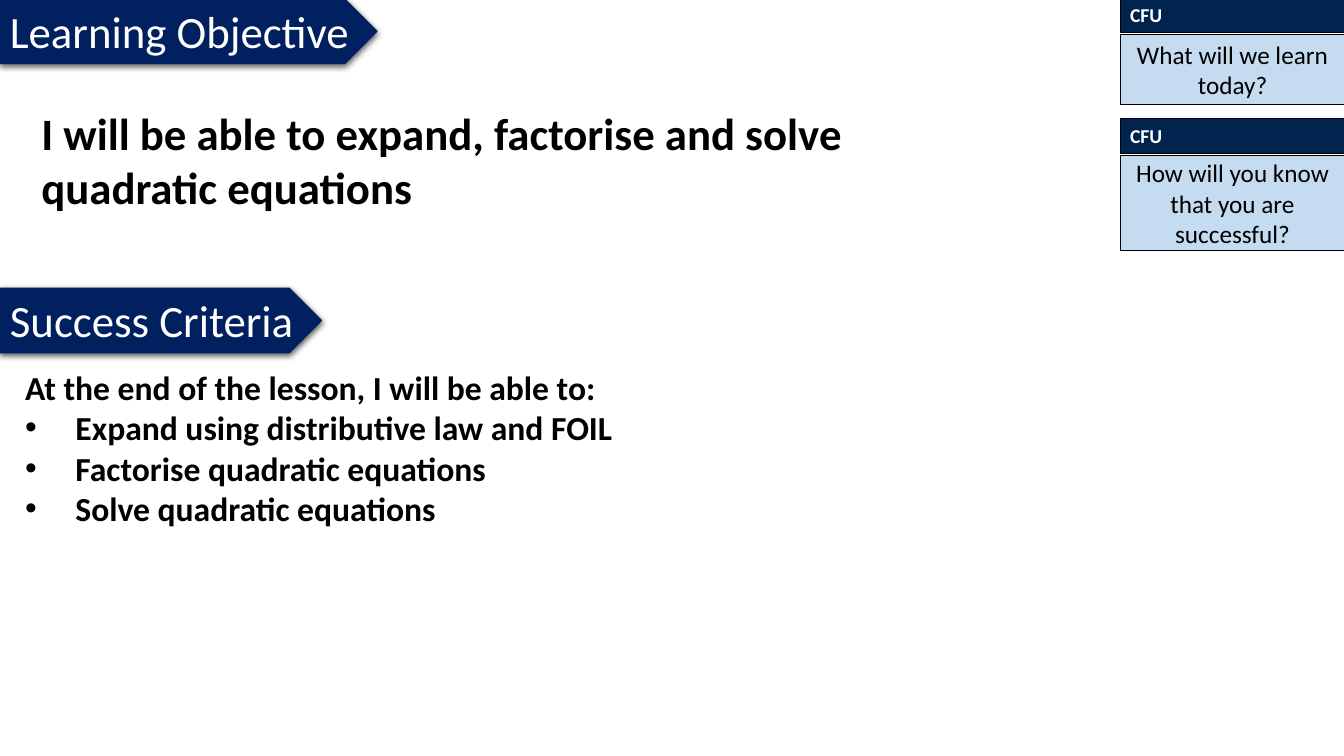
from dataclasses import dataclass

import pptx
import pptx.dml.color
import pptx.enum.shapes
import pptx.enum.text
import pptx.oxml
import pptx.oxml.ns
import pptx.util
from pptx.util import Inches

ANCHOR = pptx.enum.text.MSO_ANCHOR
ALIGN = pptx.enum.text.PP_ALIGN
AUTO_SIZE = pptx.enum.text.MSO_AUTO_SIZE
SHAPE = pptx.enum.shapes.MSO_SHAPE
NAMESPACE = pptx.oxml.ns.nsdecls("a")


@dataclass(frozen=True)
class Theme:
    font: str = "Calibri"
    black: str = "000000"
    white: str = "FFFFFF"
    banner: str = "002060"
    card_header: str = "01244E"
    card_body: str = "9DC3E6"
    heading: int = 32
    criteria: int = 24
    question: int = 18
    label: int = 14
    outline: float = 0.75


THEME = Theme()


def rgb(value):
    return pptx.dml.color.RGBColor.from_string(value)


def write_text(shape, lines, size, color=THEME.black, bold=False, align=ALIGN.LEFT,
               anchor=ANCHOR.TOP, wrap=True, grow=True, bullets_from=None):
    frame = shape.text_frame
    frame.word_wrap = wrap
    frame.auto_size = AUTO_SIZE.SHAPE_TO_FIT_TEXT if grow else AUTO_SIZE.NONE
    frame.vertical_anchor = anchor
    for index, line in enumerate(lines):
        para = frame.add_paragraph() if index else frame.paragraphs[0]
        para.alignment = align
        if bullets_from is not None and index >= bullets_from:
            add_bullet(para)
        span = para.add_run()
        span.text = line
        span.font.name = THEME.font
        span.font.size = pptx.util.Pt(size)
        span.font.bold = bold
        span.font.color.rgb = rgb(color)


def add_bullet(para):
    properties = para._p.get_or_add_pPr()
    properties.set("marL", str(Inches(0.5)))
    properties.set("indent", str(Inches(-0.5)))
    for element in ('<a:buFont %s typeface="Arial"/>', '<a:buChar %s char="•"/>'):
        properties.append(pptx.oxml.parse_xml(element % NAMESPACE))


def add_panel(shapes, kind, left, top, width, height, fill, line):
    panel = shapes.add_shape(kind, Inches(left), Inches(top), Inches(width), Inches(height))
    panel.shadow.inherit = False
    panel.fill.solid()
    panel.fill.fore_color.rgb = rgb(fill)
    panel.line.color.rgb = rgb(line)
    panel.line.width = pptx.util.Pt(THEME.outline)
    return panel


def set_opacity(panel, percent):
    color = panel._element.spPr.find(pptx.oxml.ns.qn("a:solidFill"))[0]
    color.append(pptx.oxml.parse_xml(f'<a:alpha {NAMESPACE} val="{percent * 1000}"/>'))


def add_drop_shadow(panel):
    effects = panel._element.spPr.find(pptx.oxml.ns.qn("a:effectLst"))
    effects.append(pptx.oxml.parse_xml(
        f'<a:outerShdw {NAMESPACE} blurRad="{pptx.util.Pt(4.5)}" dist="{pptx.util.Pt(1.5)}" '
        f'dir="5400000" algn="t" rotWithShape="0"><a:srgbClr val="{THEME.black}">'
        '<a:alpha val="63000"/></a:srgbClr></a:outerShdw>'))


def add_banner(page, text, top, width):
    banner = add_panel(page.shapes, SHAPE.PENTAGON, 0, top, width, 0.64,
                       THEME.banner, THEME.banner)
    add_drop_shadow(banner)
    write_text(banner, [text], THEME.heading, color=THEME.white, wrap=False)


def add_question_card(page, question, top, height):
    left, width = 11.11, 2.23
    card = page.shapes.add_group_shape()
    header = add_panel(card.shapes, SHAPE.RECTANGLE, left, top, width, 0.34,
                       THEME.card_header, THEME.black)
    write_text(header, ["CFU"], THEME.label, color=THEME.white, bold=True)
    body = add_panel(card.shapes, SHAPE.RECTANGLE, left, top + 0.36, width, height,
                     THEME.card_body, THEME.black)
    set_opacity(body, 60)
    write_text(body, [question], THEME.question, align=ALIGN.CENTER,
               anchor=ANCHOR.MIDDLE, grow=False)


def add_objective(page, text):
    title = page.shapes.title
    title.left, title.top = Inches(0.31), Inches(1)
    title.width, title.height = Inches(9.81), Inches(1.18)
    write_text(title, [text], THEME.heading, bold=True)


def add_criteria(page, lines):
    box = page.shapes.add_textbox(Inches(0.15), Inches(3.59), Inches(12), Inches(1.72))
    write_text(box, lines, THEME.criteria, bold=True, bullets_from=1)


def main():
    deck = pptx.Presentation()
    deck.slide_width, deck.slide_height = Inches(13.33), Inches(7.5)
    page = deck.slides.add_slide(deck.slide_layouts[5])
    add_objective(page, "I will be able to expand, factorise and solve quadratic equations")
    add_criteria(page, [
        "At the end of the lesson, I will be able to:",
        "Expand using distributive law and FOIL",
        "Factorise quadratic equations",
        "Solve quadratic equations",
    ])
    add_question_card(page, "What will we learn today?", top=-0.02, height=0.7)
    add_question_card(page, "How will you know that you are successful?", top=1.18, height=0.95)
    add_banner(page, "Learning Objective", top=-0.01, width=3.74)
    add_banner(page, "Success Criteria", top=2.86, width=3.19)
    deck.save("out.pptx")


if __name__ == "__main__":
    main()
